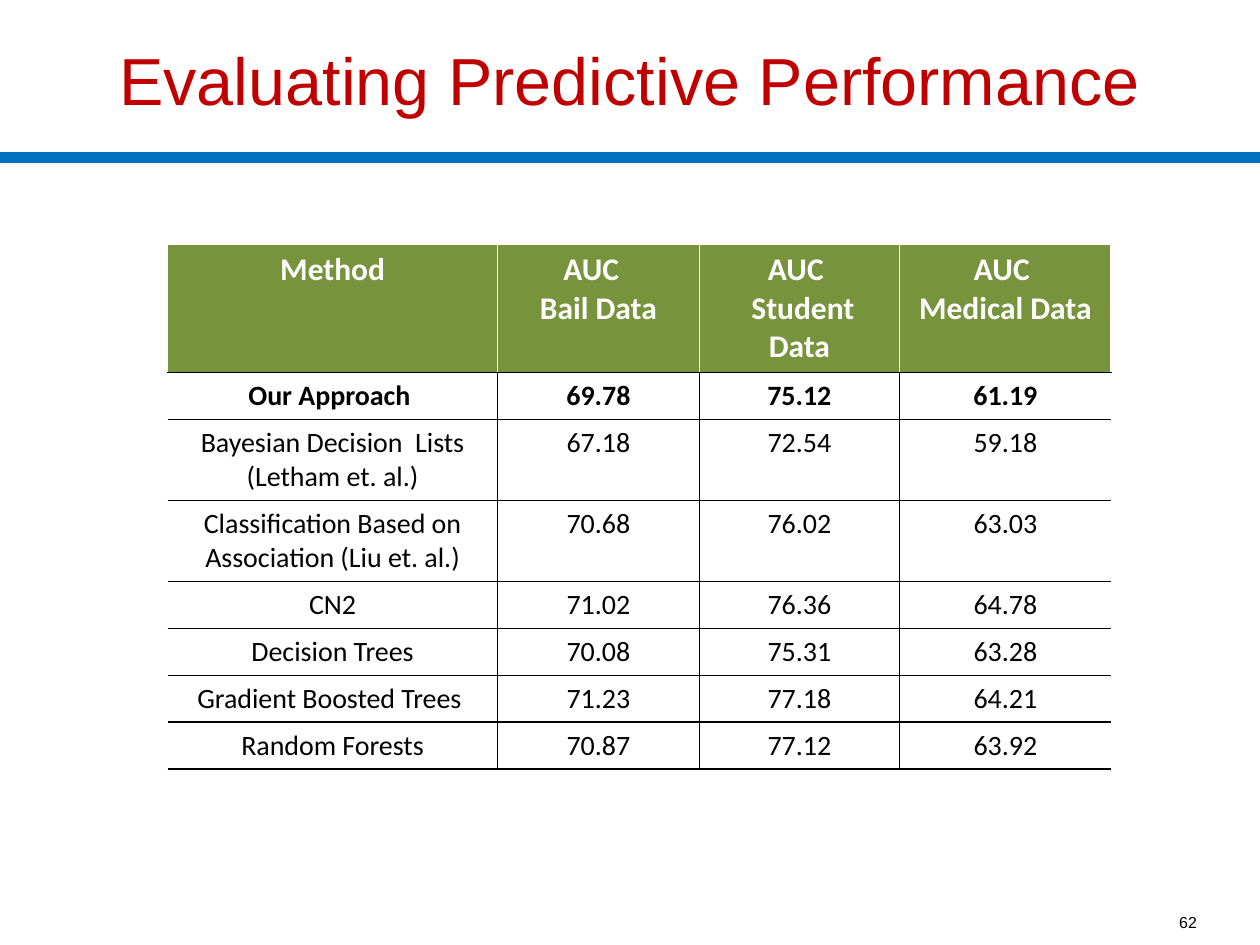
from pptx import Presentation
from pptx.dml.color import RGBColor
from pptx.enum.shapes import MSO_CONNECTOR
from pptx.enum.text import MSO_ANCHOR, PP_ALIGN
from pptx.oxml.ns import qn
from pptx.util import Inches, Pt
from lxml import etree

STRAIGHT = MSO_CONNECTOR.STRAIGHT
MIDDLE = MSO_ANCHOR.MIDDLE
CENTER, RIGHT = PP_ALIGN.CENTER, PP_ALIGN.RIGHT

BLACK, WHITE, GREEN, RED, BLUE = "000000", "FFFFFF", "77933C", "C00000", "0070C0"

COLUMN_WIDTHS = [2.62, 1.6, 1.59, 1.68]
HEADER_HEIGHT, ROW_HEIGHT = 0.53, 0.36
RESULTS = [
    ["Method", "AUC  \nBail Data", "AUC \n Student Data", "AUC \nMedical Data"],
    ["Our Approach ", "69.78", "75.12", "61.19"],
    ["Bayesian Decision  Lists (Letham et. al.)", "67.18", "72.54", "59.18"],
    ["Classification Based on Association (Liu et. al.)", "70.68", "76.02", "63.03"],
    ["CN2", "71.02", "76.36", "64.78"],
    ["Decision Trees", "70.08", "75.31", "63.28"],
    ["Gradient Boosted Trees ", "71.23", "77.18", "64.21"],
    ["Random Forests", "70.87", "77.12", "63.92"],
]


def rgb(color):
    return RGBColor.from_string(color)


def write(tf, text, size=16, font="Calibri", color=BLACK, bold=False, align=CENTER):
    """Fill a text frame, one paragraph for each line of text."""
    for i, line in enumerate(text.split("\n")):
        p = tf.paragraphs[0] if i == 0 else tf.add_paragraph()
        p.alignment = align
        r = p.add_run()
        r.text = line
        r.font.size = Pt(size)
        r.font.name = font
        r.font.bold = bold
        r.font.color.rgb = rgb(color)


def place(sp, left, top, width, height):
    sp.left, sp.top = Inches(left), Inches(top)
    sp.width, sp.height = Inches(width), Inches(height)


def add_title(s, text):
    sp = s.shapes.title
    place(sp, 0, 0, 10, 1.25)
    sp.text_frame.vertical_anchor = MIDDLE
    write(sp.text_frame, text, size=38, font="Arial", color=RED)


def add_rule(s, y):
    line = s.shapes.add_connector(STRAIGHT, 0, Inches(y), Inches(10), Inches(y))
    line.line.color.rgb = rgb(BLUE)
    line.line.width = Pt(6)
    etree.SubElement(line._element.spPr, qn("a:effectLst"))


def add_page_number(s, number):
    sp = s.shapes.add_textbox(Inches(7.17), Inches(7.23), Inches(2.33), Inches(0.18))
    tf = sp.text_frame
    tf.word_wrap = True
    tf.vertical_anchor = MIDDLE
    tf.margin_left = tf.margin_right = tf.margin_top = tf.margin_bottom = 0
    write(tf, number, size=9.1, font="Arial", align=RIGHT)


def set_borders(cell, **colors):
    """Draw 1 pt borders; a side without a colour stays open."""
    tcPr = cell._tc.get_or_add_tcPr()
    for side in "LRTB":
        ln = etree.SubElement(tcPr, qn(f"a:ln{side}"), w=str(Pt(1)))
        if side in colors:
            fill = etree.SubElement(ln, qn("a:solidFill"))
            etree.SubElement(fill, qn("a:srgbClr"), val=colors[side])
        else:
            etree.SubElement(ln, qn("a:noFill"))


def format_cell(cell, text, row, col):
    header = row == 0
    if header:
        set_borders(cell, L=WHITE, R=WHITE, T=WHITE, B=BLACK)
    else:
        # Body rows are open at the outer left and right
        sides = {"T": BLACK, "B": BLACK}
        if col > 0:
            sides["L"] = BLACK
        if col < len(COLUMN_WIDTHS) - 1:
            sides["R"] = BLACK
        set_borders(cell, **sides)
    cell.fill.solid()
    cell.fill.fore_color.rgb = rgb(GREEN if header else WHITE)
    write(cell.text_frame, text, size=18 if header else 16,
          color=WHITE if header else BLACK, bold=row <= 1)


def add_results_table(s, left, top):
    height = HEADER_HEIGHT + ROW_HEIGHT * (len(RESULTS) - 1)
    table = s.shapes.add_table(
        len(RESULTS), len(COLUMN_WIDTHS), Inches(left), Inches(top),
        Inches(sum(COLUMN_WIDTHS)), Inches(height)).table
    table.horz_banding = False
    for column, width in zip(table.columns, COLUMN_WIDTHS):
        column.width = Inches(width)
    for i, values in enumerate(RESULTS):
        table.rows[i].height = Inches(ROW_HEIGHT if i else HEADER_HEIGHT)
        for j, text in enumerate(values):
            format_cell(table.cell(i, j), text, i, j)


def main():
    prs = Presentation()
    prs.slide_width, prs.slide_height = Inches(10), Inches(7.5)
    s = prs.slides.add_slide(prs.slide_layouts[5])

    # Heading
    add_title(s, "Evaluating Predictive Performance")
    add_rule(s, 1.25)

    # Results and page number
    add_results_table(s, 1.33, 1.94)
    add_page_number(s, "62")

    prs.save("out.pptx")


if __name__ == "__main__":
    main()
